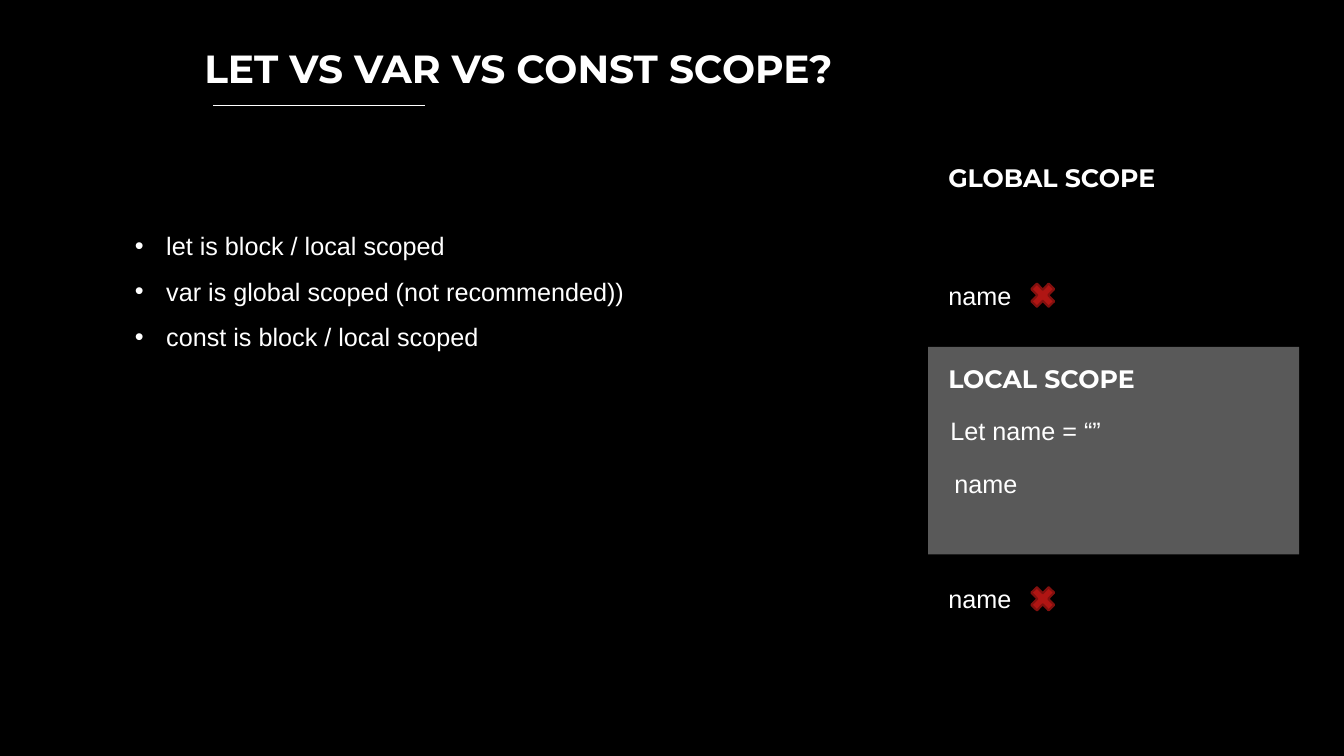
"""Build a slide comparing the scope of let, var and const."""
from lxml.etree import SubElement
from pptx import Presentation
from pptx.dml.color import RGBColor
from pptx.enum.shapes import MSO_CONNECTOR, MSO_SHAPE
from pptx.oxml.ns import qn
from pptx.util import Cm, Pt

BLACK = RGBColor(0x00, 0x00, 0x00)
WHITE = RGBColor(0xFF, 0xFF, 0xFF)
GRAY = RGBColor(0x59, 0x59, 0x59)
RED = RGBColor(0xB0, 0x15, 0x13)
DARK_RED = RGBColor(0x82, 0x10, 0x0E)
HEAD, BODY = "Montserrat", "Arial"

TITLE = "LET VS VAR VS CONST SCOPE?"
BULLETS = [
    "let is block / local scoped",
    "var is global scoped (not recommended))",
    "const is block / local scoped",
]
LABEL_X, LABEL_H = 23.65, 1.02
LABELS = [
    ("GLOBAL SCOPE", HEAD, LABEL_X, 3.96, 6.05),
    ("LOCAL SCOPE", HEAD, LABEL_X, 9.02, 5.54),
    ("Let name = “”", BODY, 23.7, 10.34, 4.34),
    ("name", BODY, 23.8, 11.68, 2.11),
]
OUT_OF_SCOPE = [("name", 6.93), ("name", 14.58)]


def add_text(s, lines, font, x, y, w, h, size=18, wrap=False, bullets=False):
    tf = s.shapes.add_textbox(Cm(x), Cm(y), Cm(w), Cm(h)).text_frame
    tf.word_wrap = wrap
    for i, line in enumerate(lines):
        p = tf.paragraphs[0] if i == 0 else tf.add_paragraph()
        r = p.add_run()
        r.text = line
        r.font.name, r.font.size = font, Pt(size)
        r.font.bold = font == HEAD
        r.font.color.rgb = WHITE
        if bullets:
            p.line_spacing = 1.5
            pPr = p._p.get_or_add_pPr()
            pPr.set("marL", str(Cm(0.79)))
            pPr.set("indent", str(-Cm(0.79)))
            SubElement(pPr, qn("a:buFont"), typeface=BODY)
            SubElement(pPr, qn("a:buChar"), char="•")


def add_filled(s, kind, x, y, w, h, fill, line=None):
    sp = s.shapes.add_shape(kind, Cm(x), Cm(y), Cm(w), Cm(h))
    sp.shadow.inherit = False
    sp.fill.solid()
    sp.fill.fore_color.rgb = fill
    if line is None:
        sp.line.fill.background()
    else:
        sp.line.color.rgb = line
        sp.line.width = Pt(1.5)


prs = Presentation()
prs.slide_width, prs.slide_height = Cm(33.87), Cm(19.05)
s = prs.slides.add_slide(prs.slide_layouts[6])
s.background.fill.solid()
s.background.fill.fore_color.rgb = BLACK

add_text(s, [TITLE], HEAD, 4.9, 0.99, 28.73, 1.45, size=28, wrap=True)
rule = s.shapes.add_connector(MSO_CONNECTOR.STRAIGHT, Cm(5.38), Cm(2.67), Cm(10.72), Cm(2.67))
rule.line.color.rgb = WHITE
rule.line.width = Pt(0.75)
SubElement(rule._element.spPr, qn("a:effectLst"))

add_text(s, BULLETS, BODY, 3.15, 5.31, 16.94, 3.58, wrap=True, bullets=True)

add_filled(s, MSO_SHAPE.RECTANGLE, 23.39, 8.74, 9.35, 5.23, GRAY)
for text, font, x, y, w in LABELS:
    add_text(s, [text], font, x, y, w, LABEL_H)
for text, y in OUT_OF_SCOPE:
    add_text(s, [text], BODY, LABEL_X, y, 2.11, LABEL_H)
    add_filled(s, MSO_SHAPE.MATH_MULTIPLY, 25.86, y + 0.08, 0.84, 0.86, RED, DARK_RED)

prs.save("out.pptx")
